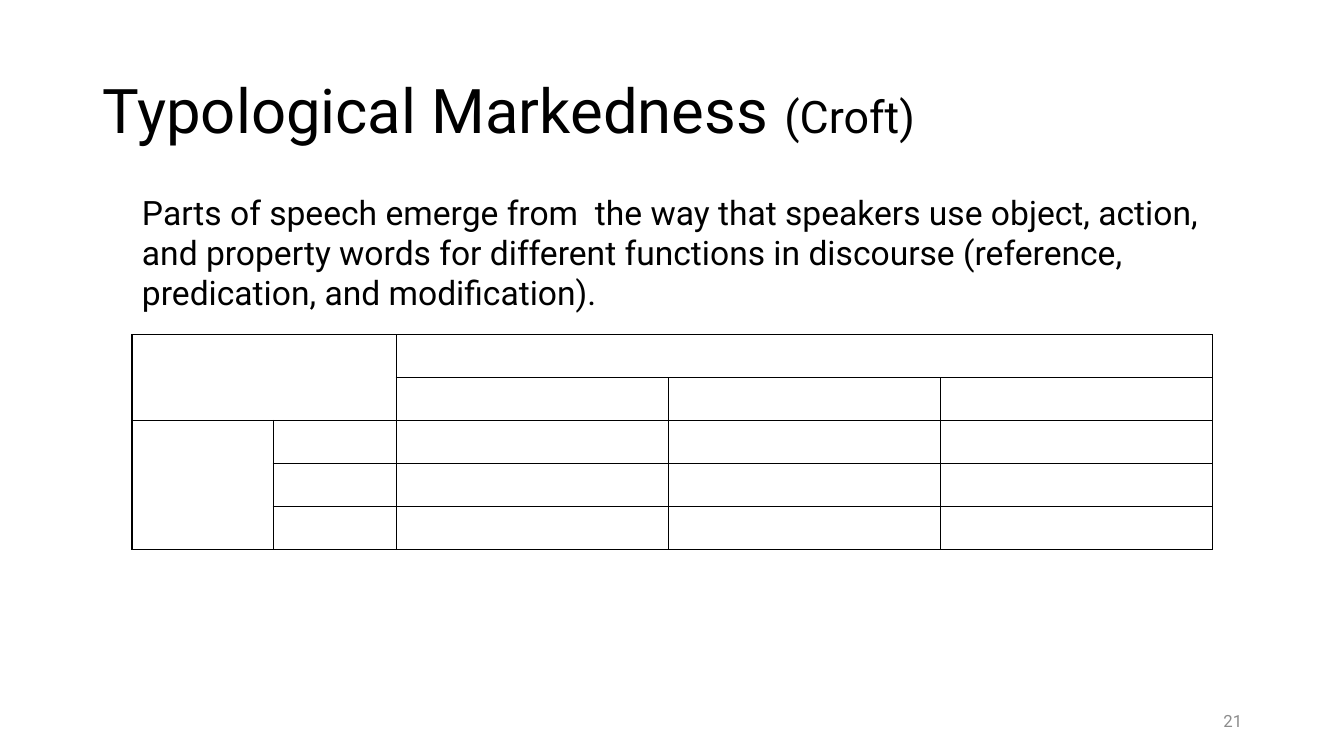
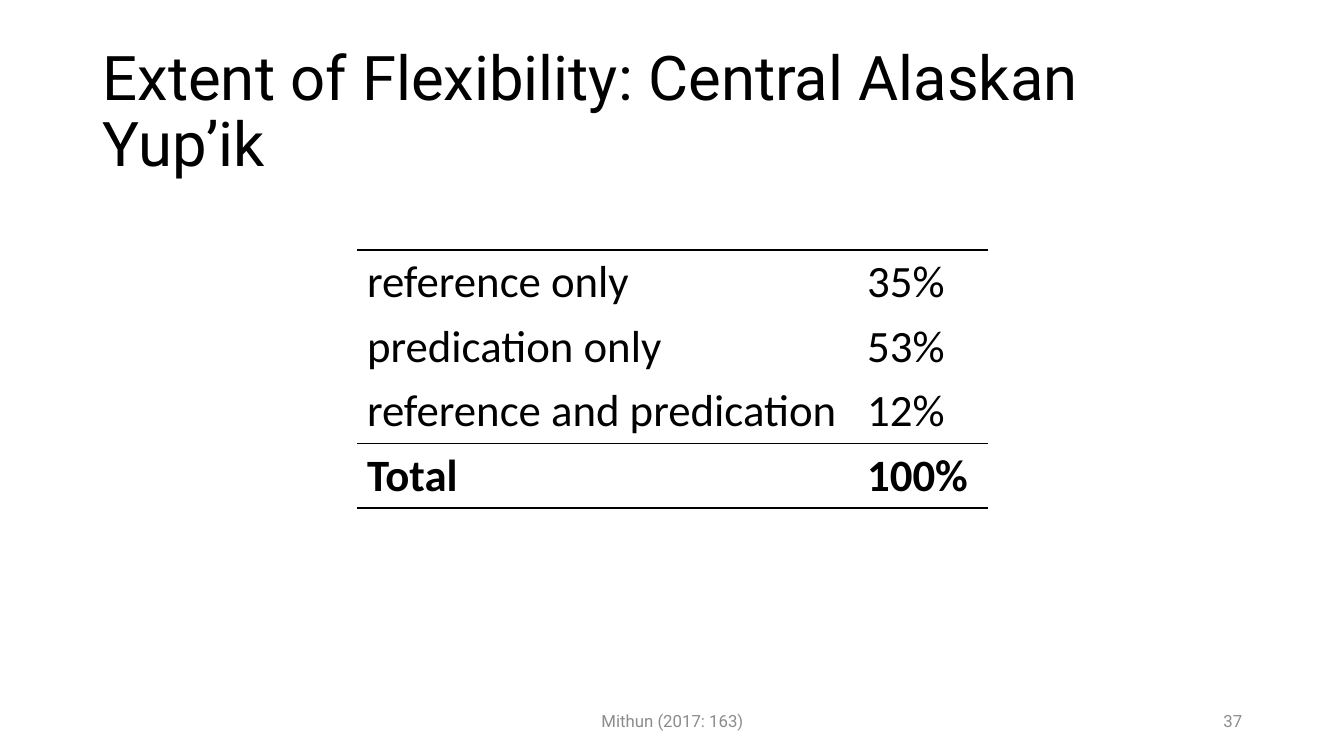
from pptx import Presentation
from pptx.dml.color import RGBColor
from pptx.enum.text import MSO_ANCHOR, PP_ALIGN
from pptx.oxml.ns import qn
from pptx.util import Inches, Pt
from lxml.etree import SubElement

# Content
MARKEDNESS = {
    "title": [("Typological Markedness ", 44), ("(Croft)", 32)],
    "body": "Parts of speech emerge from  the way that speakers use object, action, "
            "and property words for different functions in discourse "
            "(reference, predication, and modification).",
    "number": "21",
}
FLEXIBILITY = {
    "title": [("Extent of Flexibility: Central Alaskan Yup’ik", 44)],
    "rows": [
        ("reference only", "35%"),
        ("predication only", "53%"),
        ("reference and predication", "12%"),
        ("Total", "100%"),
    ],
    "source": "Mithun (2017: 163)",
    "number": "37",
}

# Shared style
COLORS = {"text": "000000", "footer": "8C8C8C", "paper": "FFFFFF", "line": "000000"}
FONT, TABLE_FONT = "Roboto", "Calibri"
NO_GRID_STYLE = "{2D5ABB26-0587-4C30-8999-92F81FD0307C}"
SIDES = {"left": "a:lnL", "right": "a:lnR", "top": "a:lnT", "bottom": "a:lnB"}
FOOTER_TOP, FOOTER_HEIGHT = 6.95, 0.4


def add_run(para, text, size, color="text", font=FONT, bold=False):
    span = para.add_run()
    span.text = text
    span.font.size = Pt(size)
    span.font.name = font
    span.font.bold = bold
    span.font.color.rgb = RGBColor.from_string(COLORS[color])


def add_text(page, left, top, width, height, spans, color="text",
             align=PP_ALIGN.LEFT, anchor=MSO_ANCHOR.MIDDLE, spacing=None):
    box = page.shapes.add_textbox(*map(Inches, (left, top, width, height)))
    box.text_frame.word_wrap = True
    box.text_frame.vertical_anchor = anchor
    para = box.text_frame.paragraphs[0]
    para.alignment = align
    para.line_spacing = spacing
    for text, size in spans:
        add_run(para, text, size, color)


def add_page(deck, content):
    """Add a slide with its title, page number and optional source."""
    page = deck.slides.add_slide(deck.slide_layouts[6])
    add_text(page, 0.92, 0.4, 11.5, 1.45, content["title"], spacing=0.9)
    add_text(page, 9.42, FOOTER_TOP, 3, FOOTER_HEIGHT, [(content["number"], 12)],
             "footer", PP_ALIGN.RIGHT)
    if "source" in content:
        add_text(page, 4.42, FOOTER_TOP, 4.5, FOOTER_HEIGHT, [(content["source"], 12)],
                 "footer", PP_ALIGN.CENTER)
    return page


def add_plain_table(page, left, top, widths, row_count, height):
    frame = page.shapes.add_table(row_count, len(widths), Inches(left), Inches(top),
                                  Inches(sum(widths)), Inches(height))
    table = frame.table
    table.first_row = table.horz_banding = False
    table._tbl.tblPr.find(qn("a:tableStyleId")).text = NO_GRID_STYLE
    for column, width in zip(table.columns, widths):
        column.width = Inches(width)
    for row in table.rows:
        row.height = Inches(height / row_count)
    return table


def style_cell(cell, sides):
    """Draw 1 pt borders on the given sides, then fill the cell."""
    properties = cell._tc.get_or_add_tcPr()
    for side, tag in SIDES.items():
        if side in sides:
            line = SubElement(properties, qn(tag), w=str(Pt(1)))
            fill = SubElement(line, qn("a:solidFill"))
            SubElement(fill, qn("a:srgbClr"), val=COLORS["line"])
    cell.fill.solid()
    cell.fill.fore_color.rgb = RGBColor.from_string(COLORS["paper"])


def build_markedness(deck):
    page = add_page(deck, MARKEDNESS)
    # Empty grid with merged headings
    table = add_plain_table(page, 1.31, 3.32, [1.4, 1.22, 2.7, 2.7, 2.7], 5, 2.13)
    for cell in table.iter_cells():
        style_cell(cell, SIDES)
    for first, last in [((0, 0), (1, 1)), ((0, 2), (0, 4)), ((2, 0), (4, 0))]:
        table.cell(*first).merge(table.cell(*last))
    add_text(page, 1.31, 1.85, 10.72, 1.31, [(MARKEDNESS["body"], 24)],
             anchor=MSO_ANCHOR.TOP)


def build_flexibility(deck):
    page = add_page(deck, FLEXIBILITY)
    rows = FLEXIBILITY["rows"]
    total = len(rows) - 1
    table = add_plain_table(page, 3.54, 2.48, [4.96, 1.3], len(rows), 2.56)
    # Rules above the first row and around the total
    rules = {0: ["top"], total - 1: ["bottom"], total: ["top", "bottom"]}
    for r, texts in enumerate(rows):
        for c, text in enumerate(texts):
            cell = table.cell(r, c)
            style_cell(cell, rules.get(r, []))
            add_run(cell.text_frame.paragraphs[0], text, 32, font=TABLE_FONT,
                    bold=r == total)


def main():
    deck = Presentation()
    deck.slide_width, deck.slide_height = Inches(13.33), Inches(7.5)
    build_markedness(deck)
    build_flexibility(deck)
    deck.save("out.pptx")


if __name__ == "__main__":
    main()
